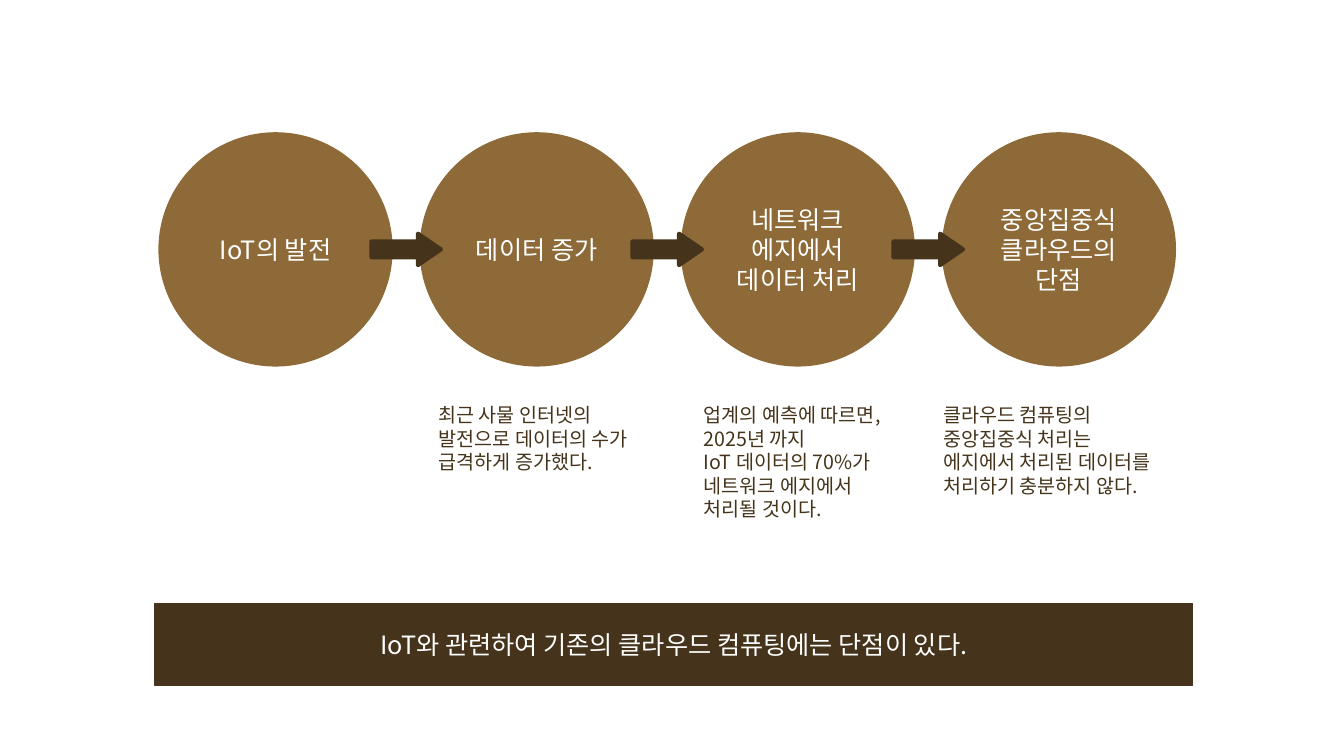
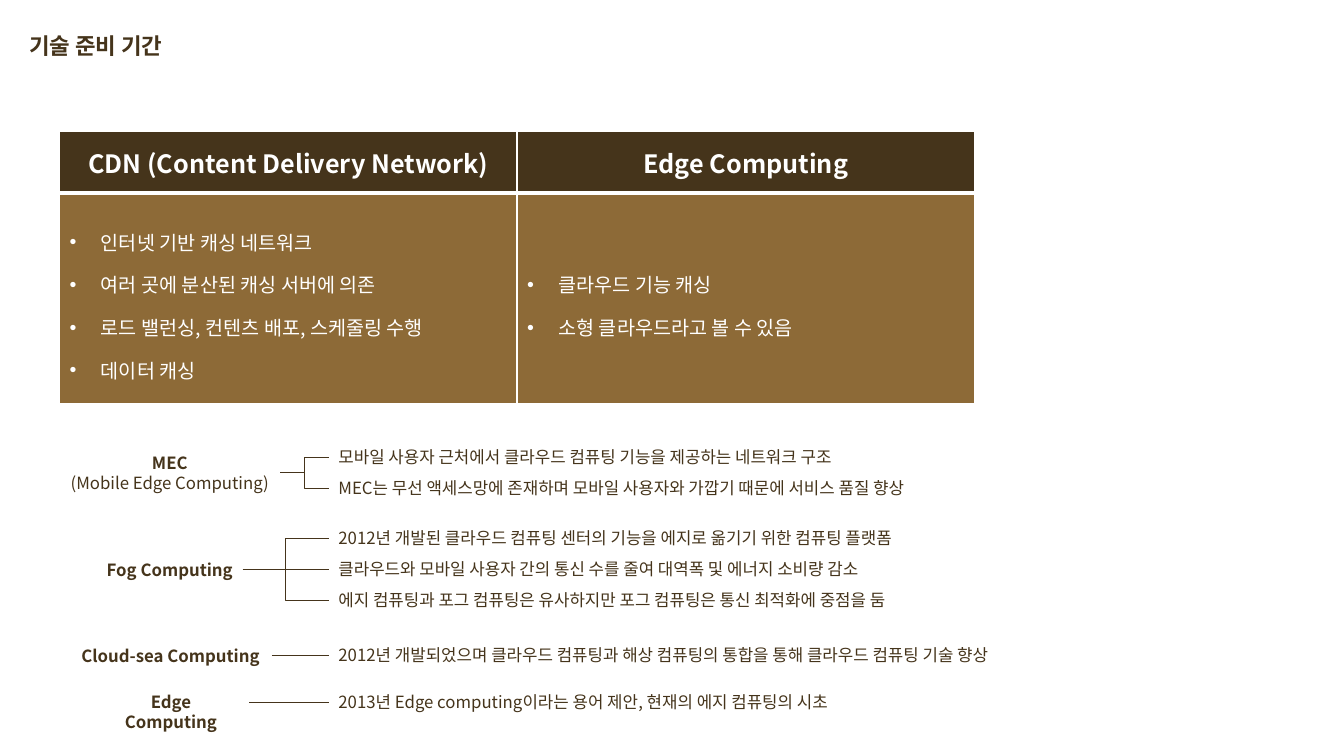
import pptx
import pptx.util
import pptx.dml.color
import pptx.enum.shapes
import pptx.enum.text
import pptx.oxml.ns
from lxml import etree

Cm = pptx.util.Cm
Pt = pptx.util.Pt
SHAPE = pptx.enum.shapes.MSO_SHAPE
ALIGN = pptx.enum.text.PP_ALIGN
ANCHOR = pptx.enum.text.MSO_ANCHOR
qn = pptx.oxml.ns.qn

# Shared look
DARK = pptx.dml.color.RGBColor(0x45, 0x34, 0x1B)
BROWN = pptx.dml.color.RGBColor(0x8D, 0x6A, 0x37)
WHITE = pptx.dml.color.RGBColor(0xFF, 0xFF, 0xFF)
FONT = "Noto Sans CJK KR"
TITLE = {"size": Pt(16), "bold": True}
LARGE = {"size": Pt(18), "bold": False}
HEADING = {"size": Pt(18), "bold": True}
BODY = {"size": Pt(14), "bold": False}
LABEL = {"size": Pt(12), "bold": True}
DETAIL = {"size": Pt(12), "bold": False}

# Slide 1 content
STEPS = [
    ["IoT의 발전"],
    ["데이터 증가"],
    ["네트워크", "에지에서", "데이터 처리"],
    ["중앙집중식 클라우드의 단점"],
]
CAPTIONS = [
    (10.8, ["최근 사물 인터넷의", "발전으로 데이터의 수가", "급격하게 증가했다."]),
    (17.48, ["업계의 예측에 따르면,", "2025년 까지", "IoT 데이터의 70%가",
             "네트워크 에지에서", "처리될 것이다."]),
    (23.52, ["클라우드 컴퓨팅의", "중앙집중식 처리는",
             "에지에서 처리된 데이터를", "처리하기 충분하지 않다."]),
]
CONCLUSION = "IoT와 관련하여 기존의 클라우드 컴퓨팅에는 단점이 있다."

# Slide 2 content
COMPARISON = {
    "CDN (Content Delivery Network)": [
        "인터넷 기반 캐싱 네트워크",
        "여러 곳에 분산된 캐싱 서버에 의존",
        "로드 밸런싱, 컨텐츠 배포, 스케줄링 수행",
        "데이터 캐싱",
    ],
    "Edge Computing": ["클라우드 기능 캐싱", "소형 클라우드라고 볼 수 있음"],
}
# Each branch: left, top, label width, label lines, facts
BRANCHES = [
    (1.5, 11.13, 5.56, ["MEC", "(Mobile Edge Computing)"], [
        "모바일 사용자 근처에서 클라우드 컴퓨팅 기능을 제공하는 네트워크 구조",
        "MEC는 무선 액세스망에 존재하며 모바일 사용자와 가깝기 때문에 서비스 품질 향상"]),
    (2.44, 13.18, 3.68, ["Fog Computing"], [
        "2012년 개발된 클라우드 컴퓨팅 센터의 기능을 에지로 옮기기 위한 컴퓨팅 플랫폼",
        "클라우드와 모바일 사용자 간의 통신 수를 줄여 대역폭 및 에너지 소비량 감소",
        "에지 컴퓨팅과 포그 컴퓨팅은 유사하지만 포그 컴퓨팅은 통신 최적화에 중점을 둠"]),
    (1.75, 16.13, 5.1, ["Cloud-sea Computing"], [
        "2012년 개발되었으며 클라우드 컴퓨팅과 해상 컴퓨팅의 통합을 통해 클라우드 컴퓨팅 기술 향상"]),
]
NARROW_BRANCH = (2.34, 17.3, 3.94, ["Edge Computing"], [
    "2013년 Edge computing이라는 용어 제안, 현재의 에지 컴퓨팅의 시초"])


def apply_format(target, values):
    for name, value in values.items():
        setattr(target, name, value)


def write(frame, lines, style, color, **para_values):
    """Fill a text frame with one paragraph for each line."""
    for index, line in enumerate(lines):
        para = frame.paragraphs[0] if index == 0 else frame.add_paragraph()
        apply_format(para, para_values)
        span = para.add_run()
        span.text = line
        apply_format(span.font, {"name": FONT, **style})
        span.font.color.rgb = color
        east_asian = etree.SubElement(span.font._element, qn("a:ea"))
        east_asian.set("typeface", FONT)


def add_text(page, bounds, lines, style, **para_values):
    box = page.shapes.add_textbox(*map(Cm, bounds))
    box.text_frame.word_wrap = True
    write(box.text_frame, lines, style, DARK, **para_values)
    return box


def add_solid(page, kind, bounds, color, line_width=1):
    shape = page.shapes.add_shape(kind, *map(Cm, bounds))
    shape.shadow.inherit = False
    shape.fill.solid()
    shape.fill.fore_color.rgb = color
    shape.line.color.rgb = color
    shape.line.width = Pt(line_width)
    return shape


def add_elbow(page, start, end):
    line = page.shapes.add_connector(
        pptx.enum.shapes.MSO_CONNECTOR.ELBOW, *map(Cm, start + end))
    line.line.color.rgb = DARK
    line.line.width = Pt(0.5)
    etree.SubElement(line._element.spPr, qn("a:effectLst"))


def add_circle_chain(page, left, top, width, diameter):
    """Evenly spaced circles joined by arrows."""
    pitch = (width - diameter) / (len(STEPS) - 1)
    for index, lines in enumerate(STEPS):
        circle = add_solid(page, SHAPE.OVAL,
                           (left + index * pitch, top, diameter, diameter), BROWN)
        circle.text_frame.vertical_anchor = ANCHOR.MIDDLE
        write(circle.text_frame, lines, LARGE, WHITE, alignment=ALIGN.CENTER)
    arrow_width, arrow_height = 1.75, 0.79
    for index in range(len(STEPS) - 1):
        arrow = add_solid(
            page, SHAPE.RIGHT_ARROW,
            (left + index * pitch + diameter - 0.52,
             top + (diameter - arrow_height) / 2, arrow_width, arrow_height),
            DARK, 3)
        arrow.adjustments[0] = 0.5
        arrow.adjustments[1] = 0.73


def add_conclusion(page, left, top, width, height):
    band = add_solid(page, SHAPE.RECTANGLE, (left, top, width, height), DARK)
    band.text_frame.vertical_anchor = ANCHOR.MIDDLE
    write(band.text_frame, [CONCLUSION], LARGE, WHITE, alignment=ALIGN.CENTER)


def add_title(page, text, left, top, width, height):
    box = page.shapes.title
    apply_format(box, {"left": Cm(left), "top": Cm(top),
                       "width": Cm(width), "height": Cm(height)})
    apply_format(box.text_frame, {"vertical_anchor": ANCHOR.TOP, "word_wrap": True,
                                  "auto_size": pptx.enum.text.MSO_AUTO_SIZE.NONE})
    write(box.text_frame, [text], TITLE, DARK, alignment=ALIGN.LEFT)


def style_cell(cell, color, edge_widths):
    """White borders first, then the fill, as the schema orders them."""
    properties = cell._tc.get_or_add_tcPr()
    for edge, width in zip("LRTB", edge_widths):
        border = etree.SubElement(properties, qn("a:ln" + edge), w=str(Pt(width)))
        fill = etree.SubElement(border, qn("a:solidFill"))
        etree.SubElement(fill, qn("a:srgbClr"), val=str(WHITE))
    cell.fill.solid()
    cell.fill.fore_color.rgb = color
    cell.vertical_anchor = ANCHOR.MIDDLE


def add_bullets(frame):
    for para in frame.paragraphs:
        properties = para._p.get_or_add_pPr()
        properties.set("marL", str(Cm(0.79)))
        properties.set("indent", str(-Cm(0.79)))
        etree.SubElement(properties, qn("a:buFont"), typeface="Arial")
        etree.SubElement(properties, qn("a:buChar"), char="•")


def add_comparison(page, left, top, width, row_heights):
    table = page.shapes.add_table(2, len(COMPARISON), Cm(left), Cm(top),
                                  Cm(width), Cm(sum(row_heights))).table
    apply_format(table, {"first_row": False, "horz_banding": False})
    for row, height in zip(table.rows, row_heights):
        row.height = Cm(height)
    for index, (heading, points) in enumerate(COMPARISON.items()):
        head, body = table.cell(0, index), table.cell(1, index)
        style_cell(head, DARK, (1, 1, 1, 3))
        write(head.text_frame, [heading], HEADING, WHITE, alignment=ALIGN.CENTER)
        style_cell(body, BROWN, (1, 1, 3, 1))
        write(body.text_frame, points, BODY, WHITE, line_spacing=1.5)
        add_bullets(body.text_frame)


def add_branch(page, left, top, label_width, label, facts, narrow=False):
    """A label with elbow lines to its facts."""
    facts_left, row_height = 8.28, 0.78
    height = row_height * len(facts)
    box = add_text(page, (left, top, label_width, height), label[:1], LABEL,
                   alignment=ALIGN.CENTER)
    margin = Cm(0.4 if narrow else 0.1)
    apply_format(box.text_frame, {
        "margin_left": margin, "margin_right": margin,
        "vertical_anchor": ANCHOR.TOP if narrow else ANCHOR.MIDDLE})
    for line in label[1:]:
        para = box.text_frame.add_paragraph()
        para.alignment = ALIGN.CENTER
        span = para.add_run()
        span.text = line
        apply_format(span.font, {"name": FONT, **DETAIL})
        span.font.color.rgb = DARK
    for index, fact in enumerate(facts):
        row_top = top + index * row_height
        add_text(page, (facts_left, row_top, 20, row_height), [fact], DETAIL)
        add_elbow(page, (left + label_width, top + height / 2),
                  (facts_left, row_top + row_height / 2))


def build_background_page(deck):
    page = deck.slides.add_slide(deck.slide_layouts[6])
    add_circle_chain(page, 4.01, 3.35, 25.61, 5.87)
    for left, lines in CAPTIONS:
        add_text(page, (left, 10.03, 6.6, 3.25), lines, BODY)
    add_conclusion(page, 3.91, 15.21, 26.14, 2.06)


def build_technology_page(deck):
    page = deck.slides.add_slide(deck.slide_layouts[5])
    add_title(page, "기술 준비 기간", 0.48, 0.69, 8, 0.94)
    add_comparison(page, 1.5, 3.3, 23.06, (1.57, 5.31))
    for branch in BRANCHES:
        add_branch(page, *branch)
    add_branch(page, *NARROW_BRANCH, narrow=True)


def main():
    deck = pptx.Presentation()
    deck.slide_width, deck.slide_height = Cm(33.87), Cm(19.05)
    build_background_page(deck)
    build_technology_page(deck)
    deck.save("out.pptx")


if __name__ == "__main__":
    main()
